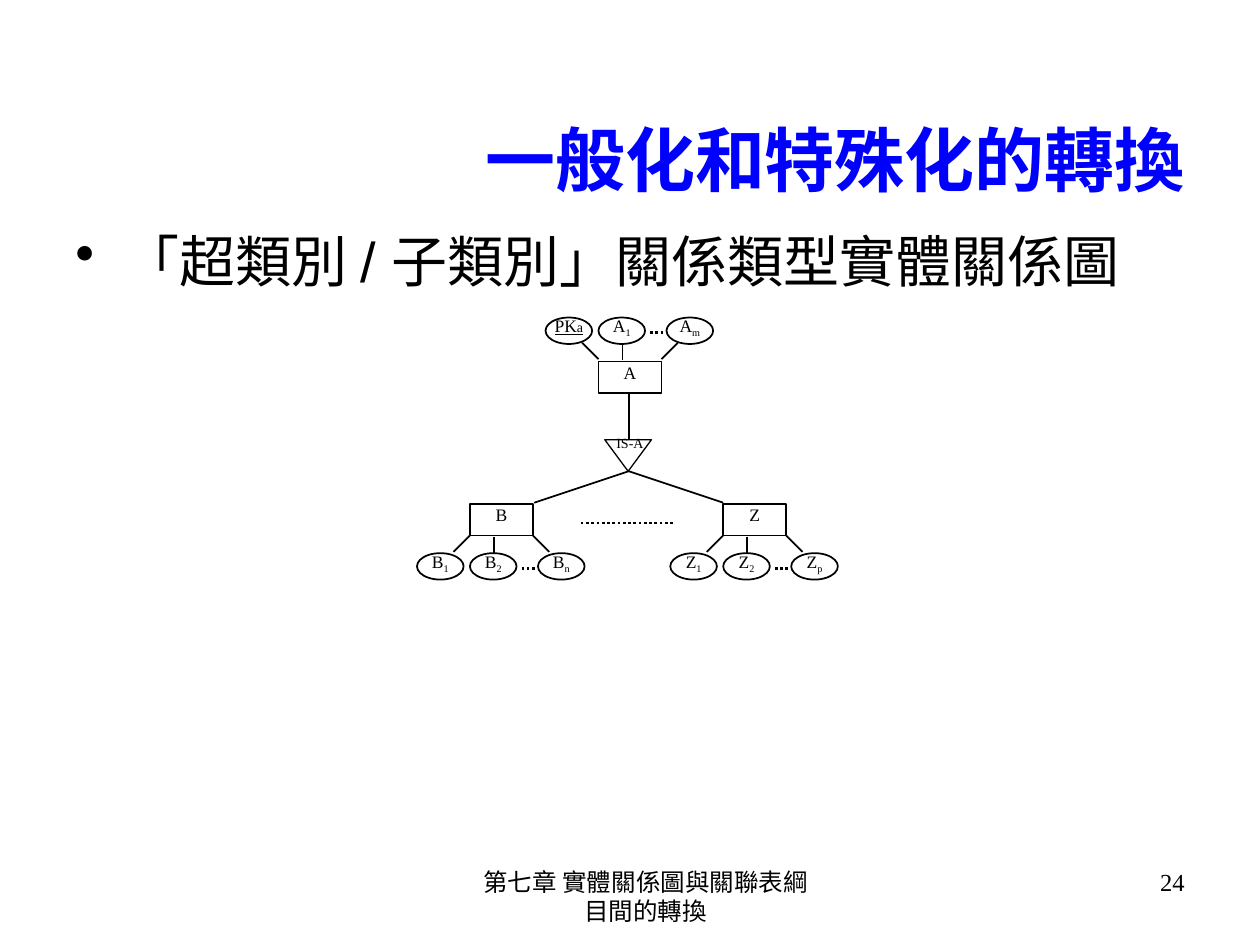
"""Build the slide on converting generalization and specialization."""
import dataclasses
import typing

import lxml.etree
import pptx
import pptx.dml.color
import pptx.enum.dml
import pptx.enum.shapes
import pptx.enum.text
import pptx.oxml.ns
import pptx.util

Kind = pptx.enum.shapes.MSO_SHAPE
Align = pptx.enum.text.PP_ALIGN
Anchor = pptx.enum.text.MSO_ANCHOR
SCALE = 9144


@dataclasses.dataclass(frozen=True)
class Theme:
    ink: str = "000000"
    title: str = "0000FF"
    paper: str = "FFFFFF"
    sans: str = "Arial"
    serif: str = "Times New Roman"
    title_size: int = 40
    body_size: int = 32
    footer_size: int = 14
    label_size: int = 10
    small_size: int = 8
    line: float = 1
    thin: float = 0.75
    dots: float = 1.5


THEME = Theme()


class Area(typing.NamedTuple):
    left: int
    top: int
    width: int
    height: int


class Span(typing.NamedTuple):
    text: str
    size: int = THEME.label_size
    font: str = THEME.serif
    color: str = THEME.ink
    bold: bool = False
    underline: bool = False
    subscript: bool = False


class Side(typing.NamedTuple):
    oval: int
    near: int
    far: int


class Entity(typing.NamedTuple):
    name: str
    left: int
    top: int
    side: Side
    attributes: list[list[Span]]


ABOVE = Side(oval=-35, near=-2, far=-15)
BELOW = Side(oval=39, near=25, far=38)
ENTITY_WIDTH, ENTITY_HEIGHT = 50, 25
OVAL_WIDTH, OVAL_HEIGHT = 37, 21
OVAL_OFFSETS = (-42, 0, 54)


def px(length: int) -> pptx.util.Emu:
    """Turn px into EMU."""
    return pptx.util.Emu(length * SCALE)


def rgb(color: str) -> pptx.dml.color.RGBColor:
    """Turn a hex string into a colour."""
    return pptx.dml.color.RGBColor.from_string(color)


def write(shape, spans: list[Span], align=Align.CENTER, anchor=Anchor.TOP,
          inset: tuple[int, int] = (0, 0)):
    """Fill a shape with one paragraph of spans and return the paragraph."""
    frame = shape.text_frame
    frame.word_wrap = True
    frame.vertical_anchor = anchor
    frame.margin_left = frame.margin_right = px(inset[0])
    frame.margin_top = frame.margin_bottom = px(inset[1])
    para = frame.paragraphs[0]
    para.alignment = align
    for item in spans:
        span = para.add_run()
        span.text = item.text
        span.font.size = pptx.util.Pt(item.size)
        span.font.name = item.font
        span.font.color.rgb = rgb(item.color)
        span.font.bold = item.bold
        span.font.underline = item.underline
        if item.subscript:
            span._r.get_or_add_rPr().set("baseline", "-25000")
    return para


def add_text(slide, area: Area, spans: list[Span], **style):
    """Add a text box and return its paragraph."""
    box = slide.shapes.add_textbox(*map(px, area))
    return write(box, spans, **style)


def indent(para, left: int, first: int = 0, bullet: str = "") -> None:
    """Set a paragraph's indents and optional bullet."""
    properties = para._p.get_or_add_pPr()
    properties.set("marL", str(px(left)))
    properties.set("indent", str(px(first)))
    if bullet:
        tag = pptx.oxml.ns.qn("a:buChar")
        lxml.etree.SubElement(properties, tag).set("char", bullet)


def add_outline(slide, kind: Kind, area: Area, width: float = THEME.line):
    """Add an unfilled preset shape with a dark outline."""
    shape = slide.shapes.add_shape(kind, *map(px, area))
    shape.shadow.inherit = False
    shape.fill.background()
    shape.line.color.rgb = rgb(THEME.ink)
    shape.line.width = pptx.util.Pt(width)
    return shape


def add_line(slide, start: tuple[int, int], end: tuple[int, int],
             dotted: bool = False) -> None:
    """Add a straight line, solid or dotted."""
    line = slide.shapes.add_connector(
        pptx.enum.shapes.MSO_CONNECTOR.STRAIGHT, *map(px, start + end))
    line.line.color.rgb = rgb(THEME.ink)
    line.line.width = pptx.util.Pt(THEME.dots if dotted else THEME.line)
    if dotted:
        line.line.dash_style = pptx.enum.dml.MSO_LINE.ROUND_DOT
    lxml.etree.SubElement(line._element.spPr, pptx.oxml.ns.qn("a:effectLst"))


def add_entity(slide, entity: Entity) -> None:
    """Draw an entity with its three attributes and their links."""
    left, top, side = entity.left, entity.top, entity.side
    area = Area(left, top, ENTITY_WIDTH, ENTITY_HEIGHT)
    write(add_outline(slide, Kind.RECTANGLE, area), [Span(entity.name)])
    near, far = top + side.near, top + side.far
    add_line(slide, (left, near), (left - 13, far))
    add_line(slide, (left + 19, near + 1), (left + 19, far + 1))
    add_line(slide, (left + 50, near), (left + 63, far))
    oval_top = top + side.oval
    for offset, spans in zip(OVAL_OFFSETS, entity.attributes):
        oval = Area(left + offset, oval_top, OVAL_WIDTH, OVAL_HEIGHT)
        add_text(slide, oval._replace(top=oval_top - 2), spans)
        add_outline(slide, Kind.OVAL, oval)
    dots_y = oval_top + 12
    add_line(slide, (left + 41, dots_y), (left + 53, dots_y), dotted=True)


def indexed(name: str, index: str) -> list[Span]:
    """Make an attribute label with a subscript."""
    return [Span(name), Span(index, subscript=True)]


def main() -> None:
    """Build and save the deck."""
    deck = pptx.Presentation()
    deck.slide_width, deck.slide_height = px(1000), px(750)
    slide = deck.slides.add_slide(deck.slide_layouts[6])

    add_text(slide, Area(50, 92, 900, 67),
             [Span("一般化和特殊化的轉換", THEME.title_size, THEME.sans,
                   THEME.title, bold=True)],
             align=Align.RIGHT, anchor=Anchor.MIDDLE, inset=(10, 5))
    body = add_text(slide, Area(50, 175, 900, 542),
                    [Span("「超類別 / 子類別」關係類型實體關係圖",
                          THEME.body_size, THEME.sans)],
                    align=Align.LEFT, inset=(10, 5))
    indent(body, 38, -38, "•")

    key = [Span("PK", underline=True),
           Span("a", THEME.small_size, underline=True)]
    entities = [
        Entity("A", 475, 287, ABOVE,
               [key, indexed("A", "1"), indexed("A", "m")]),
        Entity("B", 373, 400, BELOW, [indexed("B", i) for i in "12n"]),
        Entity("Z", 574, 400, BELOW, [indexed("Z", i) for i in "12p"]),
    ]
    for entity in entities:
        add_entity(slide, entity)

    triangle = add_outline(slide, Kind.ISOSCELES_TRIANGLE,
                           Area(480, 349, 37, 25), THEME.thin)
    triangle.rotation = 180
    triangle.fill.solid()
    triangle.fill.fore_color.rgb = rgb(THEME.paper)
    add_text(slide, Area(483, 345, 34, 18), [Span("IS-A", THEME.small_size)])
    add_line(slide, (499, 312), (499, 349))
    for corner in (424, 574):
        add_line(slide, (corner, 399), (499, 374))
    add_line(slide, (461, 415), (536, 415), dotted=True)

    footers = [
        (Area(342, 683, 317, 52), "第七章 實體關係圖與關聯表綱目間的轉換", Align.CENTER),
        (Area(717, 683, 233, 52), "24", Align.RIGHT),
    ]
    for area, text, align in footers:
        para = add_text(slide, area, [Span(text, THEME.footer_size)],
                        align=align, inset=(10, 5))
        indent(para, 24)

    deck.save("out.pptx")


if __name__ == "__main__":
    main()
